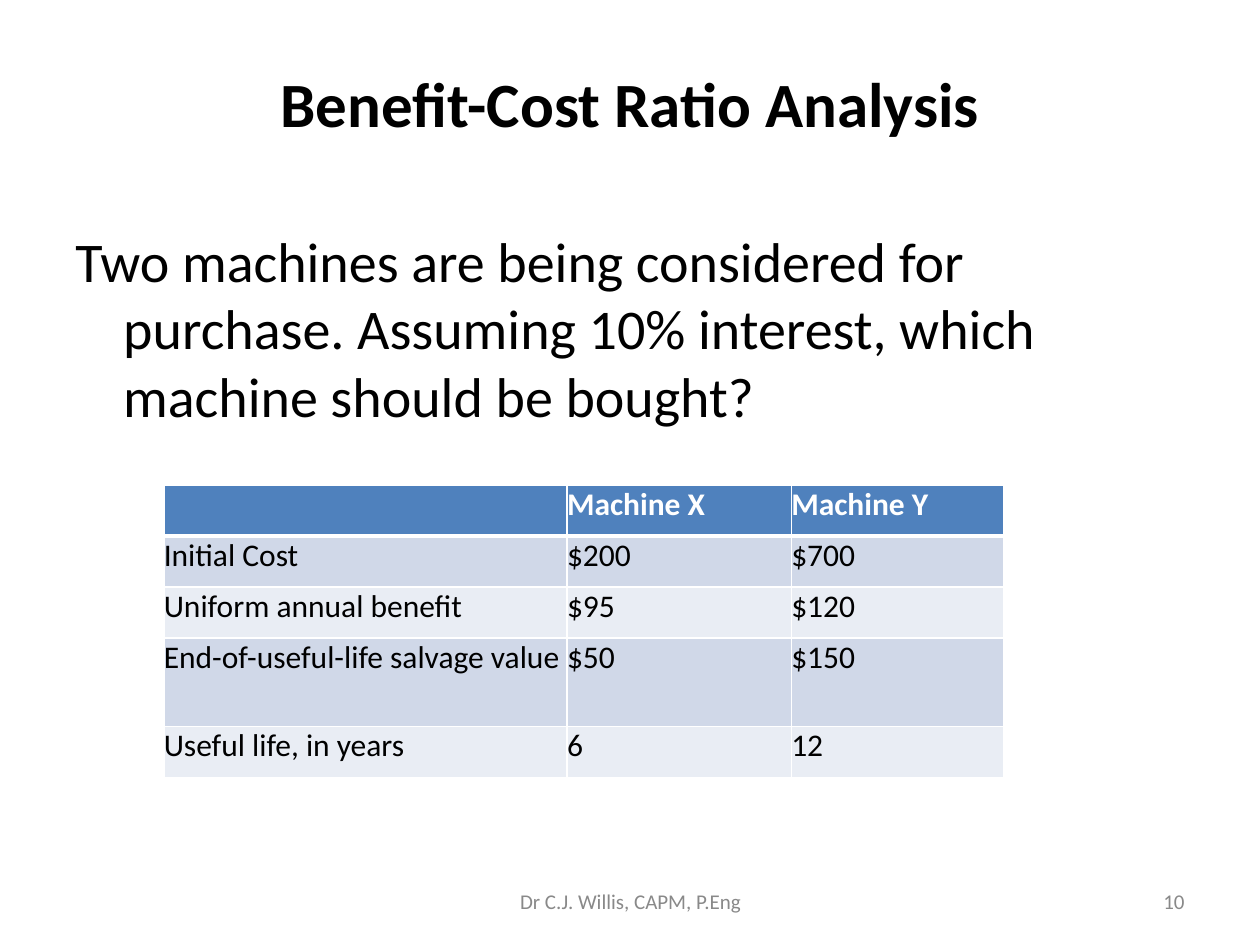
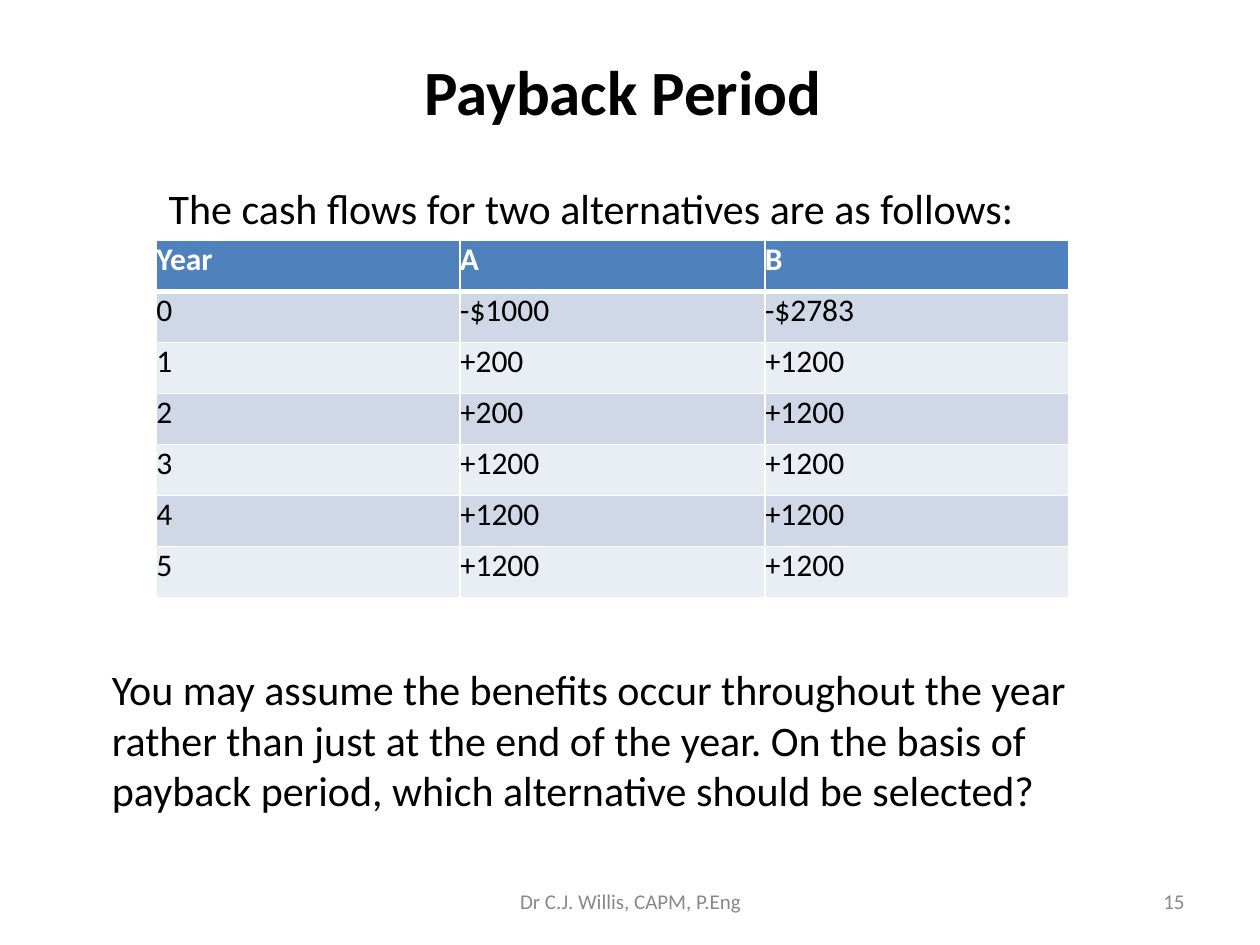
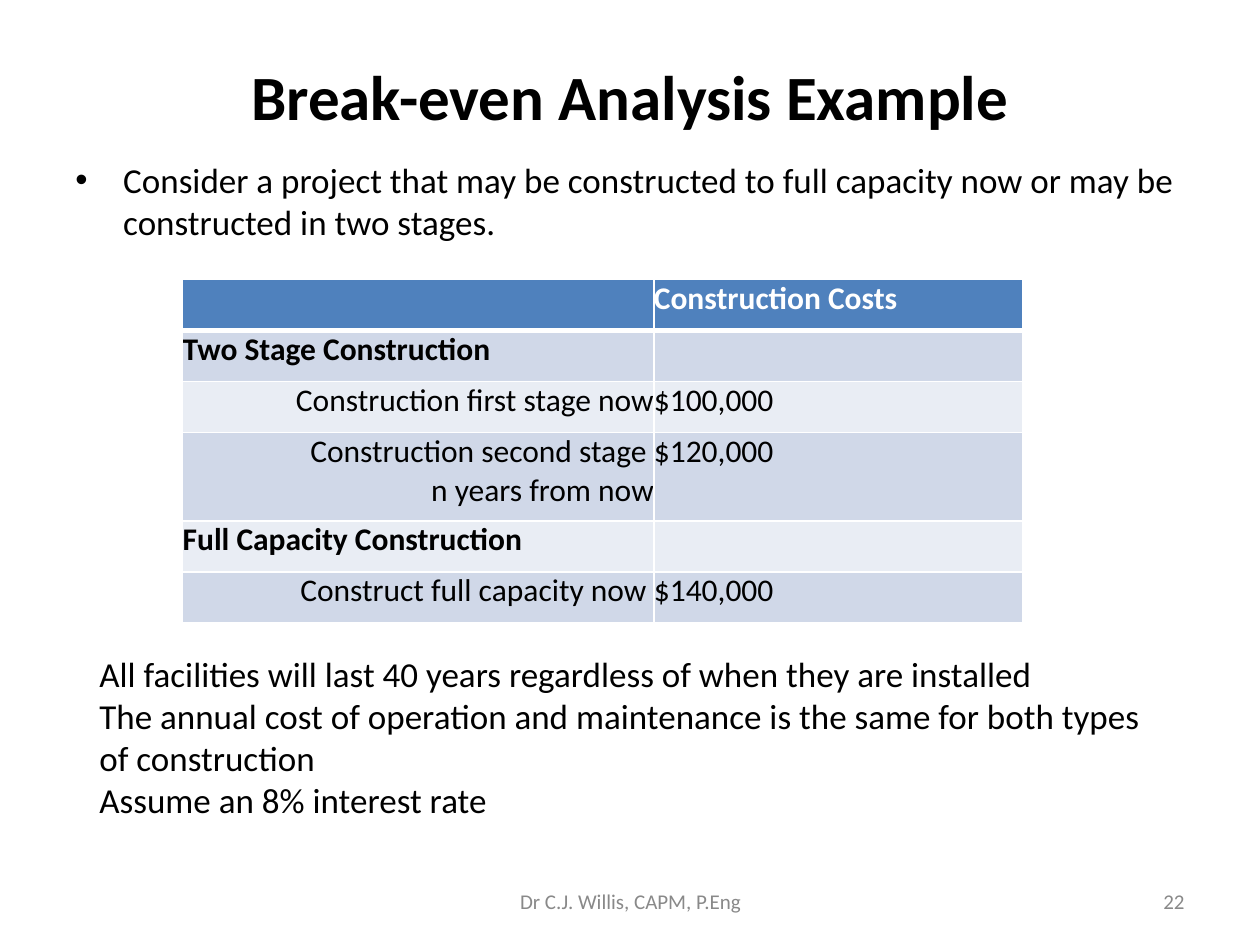
from lxml import etree
from pptx import Presentation
from pptx.dml.color import RGBColor
from pptx.enum.text import MSO_ANCHOR, MSO_AUTO_SIZE, PP_ALIGN
from pptx.oxml.ns import qn
from pptx.util import Inches, Pt

LEFT, MID, RIGHT = PP_ALIGN.LEFT, PP_ALIGN.CENTER, PP_ALIGN.RIGHT
TOP, MIDDLE = MSO_ANCHOR.TOP, MSO_ANCHOR.MIDDLE
FIXED = MSO_AUTO_SIZE.NONE

BLACK = RGBColor(0x00, 0x00, 0x00)
WHITE = RGBColor(0xFF, 0xFF, 0xFF)
GREY = RGBColor(0x89, 0x89, 0x89)
BLUE = RGBColor(0x4F, 0x81, 0xBD)
BANDS = RGBColor(0xD0, 0xD8, 0xE8), RGBColor(0xE9, 0xED, 0xF4)

FACE = "Calibri"
AUTHOR = "Dr C.J. Willis, CAPM, P.Eng"
ROW = Inches(0.81) // 2
TALL = Inches(0.7)
HANG = Inches(0.38)


class Deck:
    def __init__(self):
        self.prs = Presentation()
        self.prs.slide_width = Inches(10)
        self.prs.slide_height = Inches(7.5)
        self.slide = None

    def page(self, title, height, number):
        self.slide = self.prs.slides.add_slide(self.prs.slide_layouts[5])
        box = self.slide.shapes.title
        box.left, box.top = Inches(0.5), Inches(0.3)
        box.width, box.height = Inches(9), Inches(height)
        self.fill(box.text_frame, [title], 36, bold=True, align=MID, anchor=MIDDLE)
        self.text([AUTHOR], 3.42, 6.95, 3.17, 0.4, 12, color=GREY, align=MID, anchor=MIDDLE)
        self.text([number], 7.17, 6.95, 2.33, 0.4, 12, color=GREY, align=RIGHT, anchor=MIDDLE)

    def font(self, para, size, color=BLACK, bold=False, align=LEFT):
        para.alignment = align
        font = para.font
        font.name, font.size, font.bold = FACE, Pt(size), bold
        font.color.rgb = color

    def fill(self, frame, lines, size, color=BLACK, bold=False, align=LEFT,
             anchor=TOP, hang=False, bullet=False):
        frame.word_wrap = True
        frame.auto_size = FIXED
        frame.vertical_anchor = anchor
        for i, line in enumerate(lines):
            para = frame.add_paragraph() if i else frame.paragraphs[0]
            para.text = line
            if hang:
                self.indent(para, bullet)
            self.font(para, size, color, bold, align)

    def indent(self, para, bullet):
        props = para._p.get_or_add_pPr()
        props.set("marL", str(HANG))
        props.set("indent", str(-HANG))
        if bullet:
            etree.SubElement(props, qn("a:buFont")).set("typeface", "Arial")
            etree.SubElement(props, qn("a:buChar")).set("char", "•")

    def text(self, lines, x, y, w, h, size, **style):
        box = self.slide.shapes.add_textbox(Inches(x), Inches(y), Inches(w), Inches(h))
        self.fill(box.text_frame, lines, size, **style)

    def border(self, cell, top, base):
        props = cell._tc.get_or_add_tcPr()
        widths = (("L", 1), ("R", 1), ("T", top), ("B", base))
        for i, (side, width) in enumerate(widths):
            line = etree.Element(qn(f"a:ln{side}"), w=str(Pt(width)))
            solid = etree.SubElement(line, qn("a:solidFill"))
            etree.SubElement(solid, qn("a:srgbClr")).set("val", str(WHITE))
            props.insert(i, line)

    def cell(self, cell, value, row, bold, align):
        cell.margin_left = cell.margin_right = cell.margin_top = cell.margin_bottom = 0
        cell.text = value
        head = row == 0
        for para in cell.text_frame.paragraphs:
            self.font(para, 18, WHITE if head else BLACK, head or bold, align)
        cell.fill.solid()
        cell.fill.fore_color.rgb = BLUE if head else BANDS[(row - 1) % 2]
        self.border(cell, 3 if row == 1 else 1, 3 if head else 1)

    def table(self, x, y, widths, rows, tall=None, groups=False):
        heights = [TALL if r == tall else ROW for r in range(len(rows))]
        table = self.slide.shapes.add_table(
            len(rows), len(widths), Inches(x), Inches(y),
            Inches(sum(widths)), sum(heights)).table
        for col, width in zip(table.columns, widths):
            col.width = Inches(width)
        for r, values in enumerate(rows):
            table.rows[r].height = heights[r]
            label = groups and r > 0
            for c, value in enumerate(values):
                first = label and c == 0
                bold = first and not values[1]
                align = RIGHT if first and values[1] else LEFT
                self.cell(table.cell(r, c), value, r, bold, align)


def ratio(deck):
    deck.page("Benefit-Cost Ratio Analysis", 1.03, "10")
    deck.text(["Two machines are being considered for purchase. Assuming 10% interest, "
               "which machine should be bought?"],
              0.5, 1.75, 9, 4.95, 32, hang=True)
    deck.table(1.3, 3.85, (3.2, 1.78, 1.69), [
        ("", "Machine X", "Machine Y"),
        ("Initial Cost", "$200", "$700"),
        ("Uniform annual benefit", "$95", "$120"),
        ("End-of-useful-life salvage value", "$50", "$150"),
        ("Useful life, in years", "6", "12"),
    ], tall=3)


def payback(deck):
    deck.page("Payback Period ", 0.83, "15")
    deck.table(1.24, 1.91, (2.41, 2.42, 2.41), [
        ("Year", "A", "B"),
        ("0", "-$1000", "-$2783"),
        ("1", "+200", "+1200"),
        ("2", "+200", "+1200"),
        ("3", "+1200", "+1200"),
        ("4", "+1200", "+1200"),
        ("5", "+1200", "+1200"),
    ])
    deck.text(["The cash flows for two alternatives are as follows:"],
              1.24, 1.4, 6.97, 0.51, 24)
    deck.text(["You may assume the benefits occur throughout the year rather than just "
               "at the end of the year. On the basis of payback period, which "
               "alternative should be selected?"],
              0.79, 5.22, 8.4, 1.31, 24)


def even(deck):
    deck.page("Break-even Analysis Example", 0.91, "22")
    deck.text(["Consider a project that may be constructed to full capacity now or "
               "may be constructed in two stages."],
              0.5, 1.21, 9, 5.95, 20, hang=True, bullet=True)
    deck.table(1.45, 2.22, (3.74, 2.93), [
        ("", "Construction Costs"),
        ("Two Stage Construction", ""),
        ("Construction first stage now", "$100,000"),
        ("Construction second stage \nn years from now", "$120,000"),
        ("Full Capacity Construction", ""),
        ("Construct full capacity now ", "$140,000"),
    ], tall=3, groups=True)
    deck.text(["All facilities will last 40 years regardless of when they are installed",
               "The annual cost of operation and maintenance is the same for both "
               "types of construction",
               "Assume an 8% interest rate"],
              0.69, 5.13, 8.61, 1.45, 20)


def main():
    deck = Deck()
    for build in (ratio, payback, even):
        build(deck)
    deck.prs.save("out.pptx")


if __name__ == "__main__":
    main()
